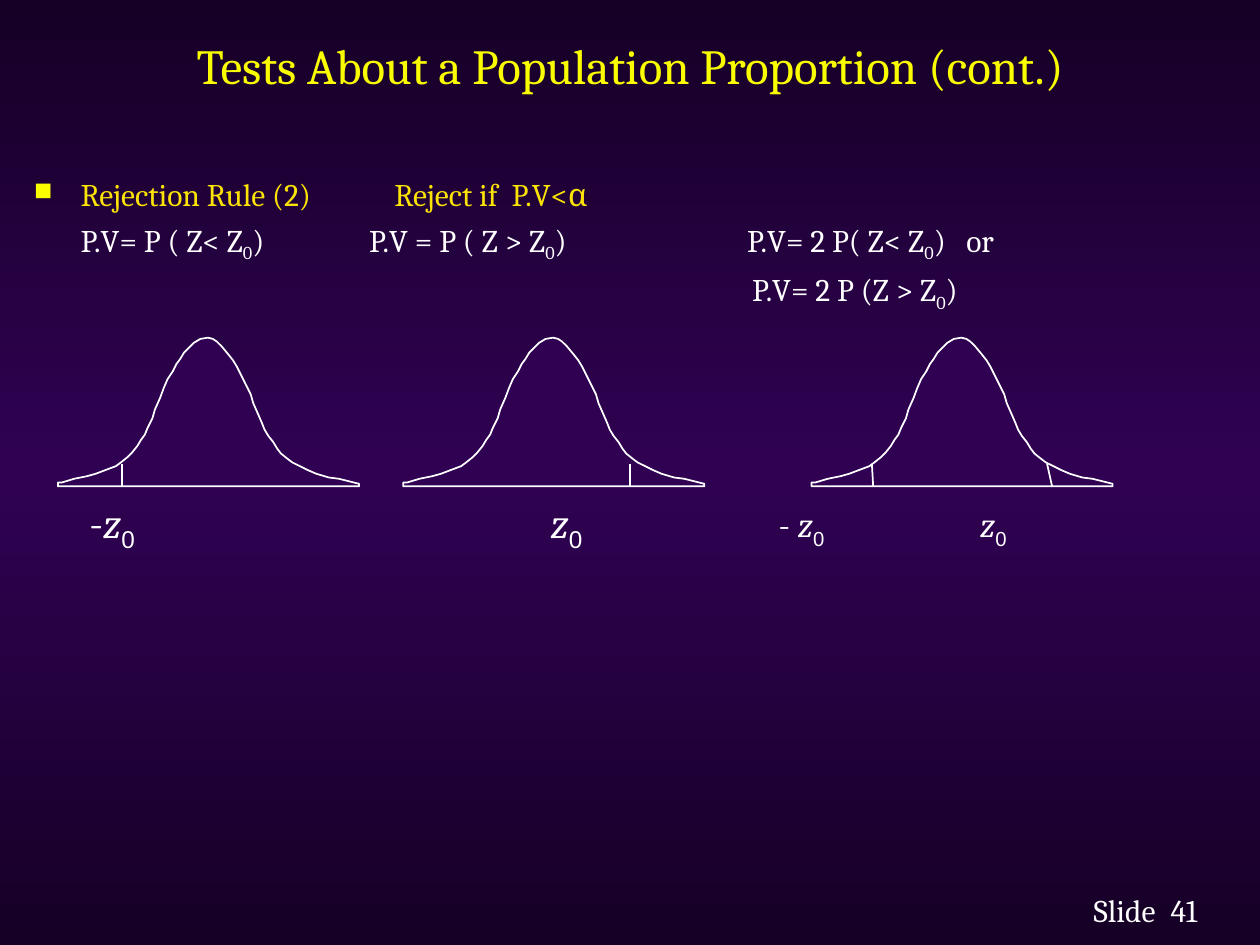
from copy import deepcopy
from dataclasses import dataclass

from lxml import etree
from pptx import Presentation
from pptx.dml.color import RGBColor
from pptx.enum.shapes import MSO_CONNECTOR
from pptx.enum.text import MSO_ANCHOR, PP_ALIGN
from pptx.oxml.ns import qn
from pptx.util import Inches, Pt

STRAIGHT = MSO_CONNECTOR.STRAIGHT
CENTER = PP_ALIGN.CENTER
LEFT = PP_ALIGN.LEFT
MIDDLE = MSO_ANCHOR.MIDDLE
TOP = MSO_ANCHOR.TOP

COLORS = {
    "edge": "160026",
    "violet": "300153",
    "title": "FAFD00",
    "rule": "FBE405",
    "white": "FFFFFF",
}
RUN_FORMATS = {
    "plain": {"name": "Cambria"},
    "italic": {"name": "Cambria", "italic": True},
    "sub": {"name": "Cambria"},
    "zero": {"name": "Arial"},
}
SUBSCRIPTS = ("sub", "zero")

# Outline of the bell curve in hundredths of an inch from its top left corner
BELL = [
    (119, 0), (113, 1), (108, 4), (103, 9), (100, 12), (97, 17), (94, 21),
    (91, 27), (87, 33), (84, 40), (81, 48), (77, 57), (75, 64), (71, 72),
    (69, 77), (66, 81), (63, 86), (59, 91), (55, 95), (50, 99), (46, 102),
    (38, 105), (30, 108), (23, 110), (13, 112), (3, 115), (0, 115), (0, 118),
    (239, 118), (239, 116), (231, 114), (223, 112), (215, 111), (205, 108),
    (198, 105), (192, 102), (186, 99), (182, 96), (177, 92), (174, 88),
    (171, 83), (167, 78), (164, 73), (162, 68), (159, 61), (155, 52),
    (153, 45), (149, 37), (145, 29), (142, 23), (139, 18), (135, 13),
    (130, 7), (126, 3), (123, 1),
]
BELL_TOP = 2.68
BELL_LEFTS = (0.46, 3.2, 6.44)
CUT_TOP, CUT_BOTTOM = 3.68, 3.86
CUTS = [(0.97, 0.97), (5, 5), (6.92, 6.93), (8.31, 8.35)]

RULE_Y, P_VALUE_Y, SECOND_P_VALUE_Y = 1.39, 1.75, 2.14
FOOTER_Y = 7.07


@dataclass
class Label:
    left: float
    top: float
    runs: list[tuple[str, str]]
    size: int = 18
    color: str = "white"
    width: float = 2.6
    height: float = 0.35
    align: int = LEFT
    anchor: int = TOP
    bullet: bool = False


def p_value(start: str) -> list[tuple[str, str]]:
    """Runs of a formula that ends with Z, a subscript 0 and a bracket."""
    return [(start, "plain"), ("0", "sub"), (")", "plain")]


def z_value(sign: str = "") -> list[tuple[str, str]]:
    signs = [(sign, "plain")] if sign else []
    return signs + [("z", "italic"), ("0", "zero")]


LABELS = [
    Label(0.75, 0.07, [("Tests About a Population Proportion (cont.)", "plain")],
          28, "title", 8.5, 0.89, CENTER, MIDDLE),
    Label(0.27, RULE_Y, [("Rejection Rule (2)", "plain")], color="rule", bullet=True),
    Label(3.13, RULE_Y, [("Reject if  P.V<α", "plain")], color="rule"),
    Label(0.64, P_VALUE_Y, p_value("P.V= P ( Z< Z")),
    Label(2.93, P_VALUE_Y, p_value("P.V = P ( Z > Z")),
    Label(5.93, P_VALUE_Y, p_value("P.V= 2 P( Z< Z"), width=1.7),
    Label(7.67, P_VALUE_Y, [("or", "plain")], width=0.5),
    Label(5.97, SECOND_P_VALUE_Y, p_value("P.V= 2 P (Z > Z")),
    Label(0.71, 3.94, z_value("-"), 24, width=0.8, height=0.45),
    Label(4.37, 3.94, z_value(), 24, width=0.8, height=0.45),
    Label(6.18, 3.99, z_value("- "), 20, width=0.8, height=0.4),
    Label(7.78, 3.99, z_value(), 20, width=0.8, height=0.4),
    Label(8.68, FOOTER_Y, [("Slide", "plain")], width=0.58),
    Label(9.29, FOOTER_Y, [("41", "plain")], width=0.4),
]


def rgb(color: str) -> RGBColor:
    return RGBColor.from_string(COLORS[color])


def paint_background(slide) -> None:
    fill = slide.background.fill
    fill.gradient()
    fill.gradient_angle = 90
    for stop in fill.gradient_stops:
        stop.color.rgb = rgb("edge")
    first_stop = next(slide.background._cSld.iter(qn("a:gs")))
    first_stop.addnext(deepcopy(first_stop))
    for stop, position in zip(fill.gradient_stops, (0, 0.5, 1)):
        stop.position = position
    fill.gradient_stops[1].color.rgb = rgb("violet")


def add_square_bullet(paragraph) -> None:
    properties = paragraph._p.get_or_add_pPr()
    properties.set("marL", str(Inches(0.37)))
    properties.set("indent", str(Inches(-0.37)))
    color = etree.SubElement(properties, qn("a:buClr"))
    etree.SubElement(color, qn("a:srgbClr"), val=COLORS["title"])
    etree.SubElement(properties, qn("a:buSzPct"), val="80000")
    etree.SubElement(properties, qn("a:buChar"), char="■")


def add_label(slide, label: Label) -> None:
    box = slide.shapes.add_textbox(Inches(label.left), Inches(label.top),
                                   Inches(label.width), Inches(label.height))
    frame = box.text_frame
    frame_format = {"margin_left": 0, "margin_right": 0, "margin_top": 0,
                    "margin_bottom": 0, "word_wrap": True,
                    "vertical_anchor": label.anchor}
    for attribute, value in frame_format.items():
        setattr(frame, attribute, value)
    paragraph = frame.paragraphs[0]
    paragraph.alignment = label.align
    if label.bullet:
        add_square_bullet(paragraph)
    for text, kind in label.runs:
        run = paragraph.add_run()
        run.text = text
        for attribute, value in RUN_FORMATS[kind].items():
            setattr(run.font, attribute, value)
        run.font.size = Pt(label.size)
        run.font.color.rgb = rgb(label.color)
        if kind in SUBSCRIPTS:
            run._r.get_or_add_rPr().set("baseline", "-25000")


def add_bell(slide, left: float) -> None:
    builder = slide.shapes.build_freeform(*BELL[0], scale=Inches(0.01))
    builder.add_line_segments(BELL[1:], close=True)
    bell = builder.convert_to_shape(Inches(left), Inches(BELL_TOP))
    bell.shadow.inherit = False
    bell.fill.solid()
    bell.fill.fore_color.rgb = rgb("violet")
    bell.line.color.rgb = rgb("white")
    bell.line.width = Pt(1)


def add_cut(slide, top_x: float, bottom_x: float) -> None:
    """Draw the line that separates a tail of a curve."""
    cut = slide.shapes.add_connector(STRAIGHT, Inches(top_x), Inches(CUT_TOP),
                                     Inches(bottom_x), Inches(CUT_BOTTOM))
    cut.line.color.rgb = rgb("white")
    cut.line.width = Pt(1)
    etree.SubElement(cut._element.spPr, qn("a:effectLst"))


def main() -> None:
    presentation = Presentation()
    presentation.slide_width = Inches(10)
    presentation.slide_height = Inches(7.5)
    slide = presentation.slides.add_slide(presentation.slide_layouts[6])
    paint_background(slide)
    for label in LABELS:
        add_label(slide, label)
    for left in BELL_LEFTS:
        add_bell(slide, left)
    for top_x, bottom_x in CUTS:
        add_cut(slide, top_x, bottom_x)
    presentation.save("out.pptx")


if __name__ == "__main__":
    main()
